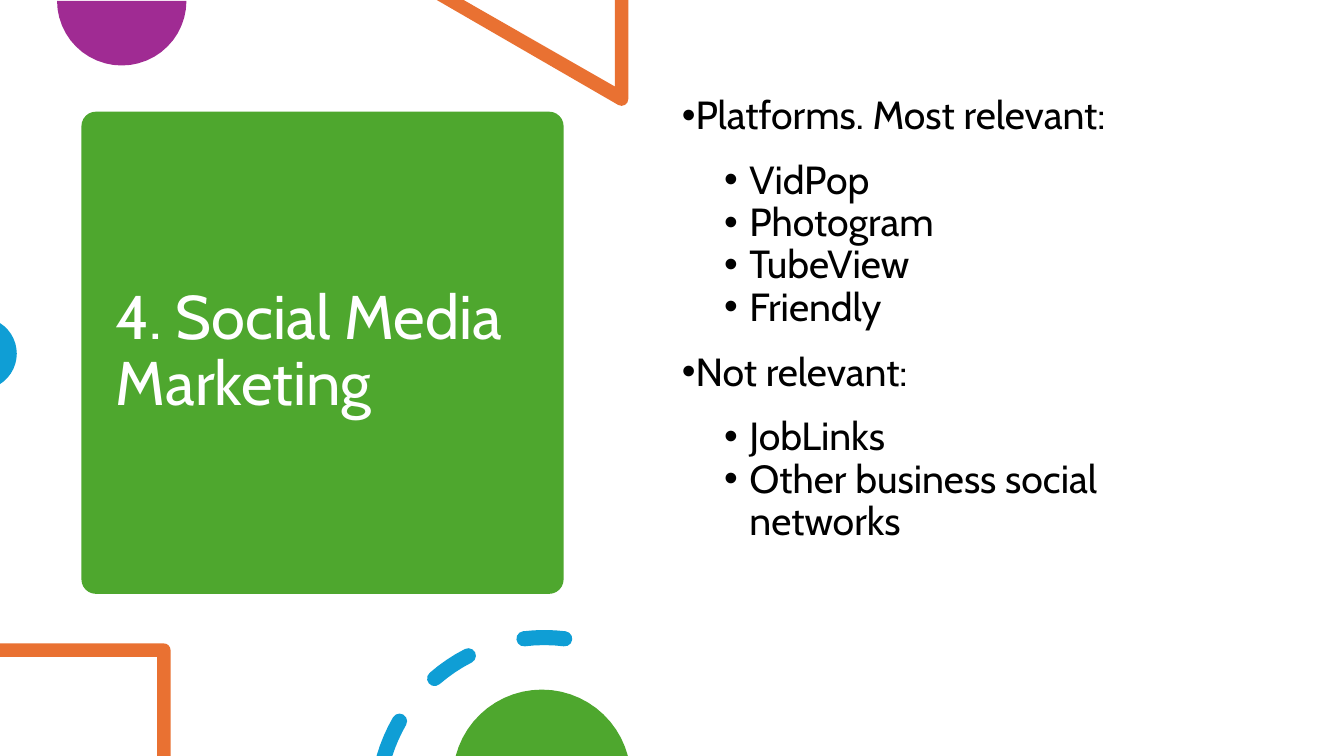
"""Build the social media marketing slide with its cropped geometric decorations."""
from dataclasses import dataclass
from math import cos, radians, sin

from lxml.etree import SubElement
from pptx import Presentation
from pptx.dml.color import RGBColor
from pptx.enum.shapes import MSO_SHAPE as Shape
from pptx.enum.text import MSO_ANCHOR as Anchor
from pptx.oxml.ns import qn
from pptx.slide import Slide
from pptx.util import Emu, Inches, Pt

WHITE = RGBColor(0xFF, 0xFF, 0xFF)
BLACK = RGBColor(0x00, 0x00, 0x00)
GREEN = RGBColor(0x4E, 0xA7, 0x2E)
PURPLE = RGBColor(0xA0, 0x2B, 0x93)
ORANGE = RGBColor(0xE9, 0x71, 0x32)
BLUE = RGBColor(0x0F, 0x9E, 0xD5)

FONT = "Cabin"
COLUMNS, ROWS = 16, 9
CELL = 762000

Point = tuple[float, float]


@dataclass(frozen=True)
class Area:
    """A rectangle in grid columns and rows."""
    column: float
    row: float
    columns: float
    rows: float

    def lengths(self) -> list[Emu]:
        """Return left, top, width and height."""
        return [Emu(round(cells * CELL))
                for cells in (self.column, self.row, self.columns, self.rows)]


@dataclass(frozen=True)
class Decoration:
    """A filled outline in grid units."""
    outline: list[Point]
    color: RGBColor


@dataclass(frozen=True)
class Bullet:
    """A bulleted line with its left margin in inches and space before in points."""
    text: str
    margin: float = 0.67
    before: int = 0


def arc(column: float, row: float, radius: float,
        start: float, end: float, steps: int) -> list[Point]:
    """Return points along an arc, with degrees counted clockwise from the top."""
    angles = [radians(start + (end - start) * step / steps) for step in range(steps + 1)]
    return [(column + radius * sin(angle), row - radius * cos(angle)) for angle in angles]


def dash(outer_start: float, inner_start: float, end: float) -> list[Point]:
    """Return a dash of the large ring, cut flat where its two starts differ."""
    column, row, radius, half = 6.48, 9.58, 1.99, 0.09

    def cap(angle: float, turn: float) -> list[Point]:
        center = arc(column, row, radius, angle, angle, 1)[0]
        return arc(*center, half, turn, turn + 180, 6)

    return [*arc(column, row, radius + half, outer_start, end, 4),
            *cap(end, end),
            *arc(column, row, radius - half, end, inner_start, 4),
            *(cap(inner_start, inner_start + 180) if inner_start == outer_start else [])]


TITLE_BLOCK = Area(0.97, 1.33, 5.74, 5.74)
TITLE_AREA = Area(1.26, 1.46, 5.17, 5.47)
BODY_AREA = Area(8, 1.08, 6.9, 6.42)

DECORATIONS = [
    Decoration(arc(1.45, 0.01, 0.77, 90, 270, 24), PURPLE),
    Decoration([(7.48, 0), (7.32, 0), (7.32, 1.03), (5.52, 0), (5.2, 0),
                *arc(7.4, 1.18, 0.08, 210, 90, 4)], ORANGE),
    Decoration(arc(-0.23, 4.21, 0.43, 32.34, 147.66, 14), BLUE),
    Decoration([(0, 7.66), *arc(1.95, 7.74, 0.08, 0, 90, 4),
                (2.03, 9), (1.87, 9), (1.87, 7.82), (0, 7.82)], ORANGE),
    Decoration(dash(-73.81, -72.23, -60), BLUE),
    Decoration(dash(-41, -41, -27), BLUE),
    Decoration(dash(-7, -7, 7), BLUE),
    Decoration(arc(6.45, 9.27, 1.06, -75.24, 75.24, 24), GREEN),
]

BULLETS = [
    Bullet("Platforms. Most relevant:", margin=0),
    Bullet("VidPop", before=16),
    Bullet("Photogram"),
    Bullet("TubeView"),
    Bullet("Friendly"),
    Bullet("Not relevant:", margin=0, before=16),
    Bullet("JobLinks", before=16),
    Bullet("Other business social networks"),
]


def add_decoration(page: Slide, decoration: Decoration) -> None:
    """Draw a filled outline."""
    points = [(round(column * CELL), round(row * CELL)) for column, row in decoration.outline]
    builder = page.shapes.build_freeform(*points[0])
    builder.add_line_segments(points[1:])
    shape = builder.convert_to_shape()
    shape.shadow.inherit = False
    shape.fill.solid()
    shape.fill.fore_color.rgb = decoration.color
    shape.line.fill.background()


def add_text(page: Slide, area: Area, bullets: list[Bullet], size: int,
             color: RGBColor, anchor: Anchor, marked: bool) -> None:
    """Write paragraphs into a wrapped text box, with bullet marks if wanted."""
    frame = page.shapes.add_textbox(*area.lengths()).text_frame
    frame.word_wrap = True
    frame.vertical_anchor = anchor
    for index, bullet in enumerate(bullets):
        para = frame.add_paragraph() if index else frame.paragraphs[0]
        para.text = bullet.text
        if marked:
            properties = para._p.get_or_add_pPr()
            properties.set("marL", str(Inches(bullet.margin)))
            properties.set("indent", str(Inches(-0.25)))
            SubElement(properties, qn("a:buFont"), typeface="Arial")
            SubElement(properties, qn("a:buChar"), char="•")
        para.line_spacing = 0.9
        para.space_before = Pt(bullet.before)
        para.font.name = FONT
        para.font.size = Pt(size)
        para.font.color.rgb = color


def main() -> None:
    """Assemble and save the deck."""
    deck = Presentation()
    deck.slide_width, deck.slide_height = Emu(COLUMNS * CELL), Emu(ROWS * CELL)
    page = deck.slides.add_slide(deck.slide_layouts[6])

    block = page.shapes.add_shape(Shape.ROUNDED_RECTANGLE, *TITLE_BLOCK.lengths())
    block.adjustments[0] = 0.03
    block.shadow.inherit = False
    block.fill.solid()
    block.fill.fore_color.rgb = GREEN
    block.line.fill.background()

    for decoration in DECORATIONS:
        add_decoration(page, decoration)
    add_text(page, TITLE_AREA, [Bullet("4. Social Media Marketing")], 44, WHITE,
             Anchor.MIDDLE, marked=False)
    add_text(page, BODY_AREA, BULLETS, 28, BLACK, Anchor.TOP, marked=True)
    deck.save("out.pptx")


if __name__ == "__main__":
    main()
